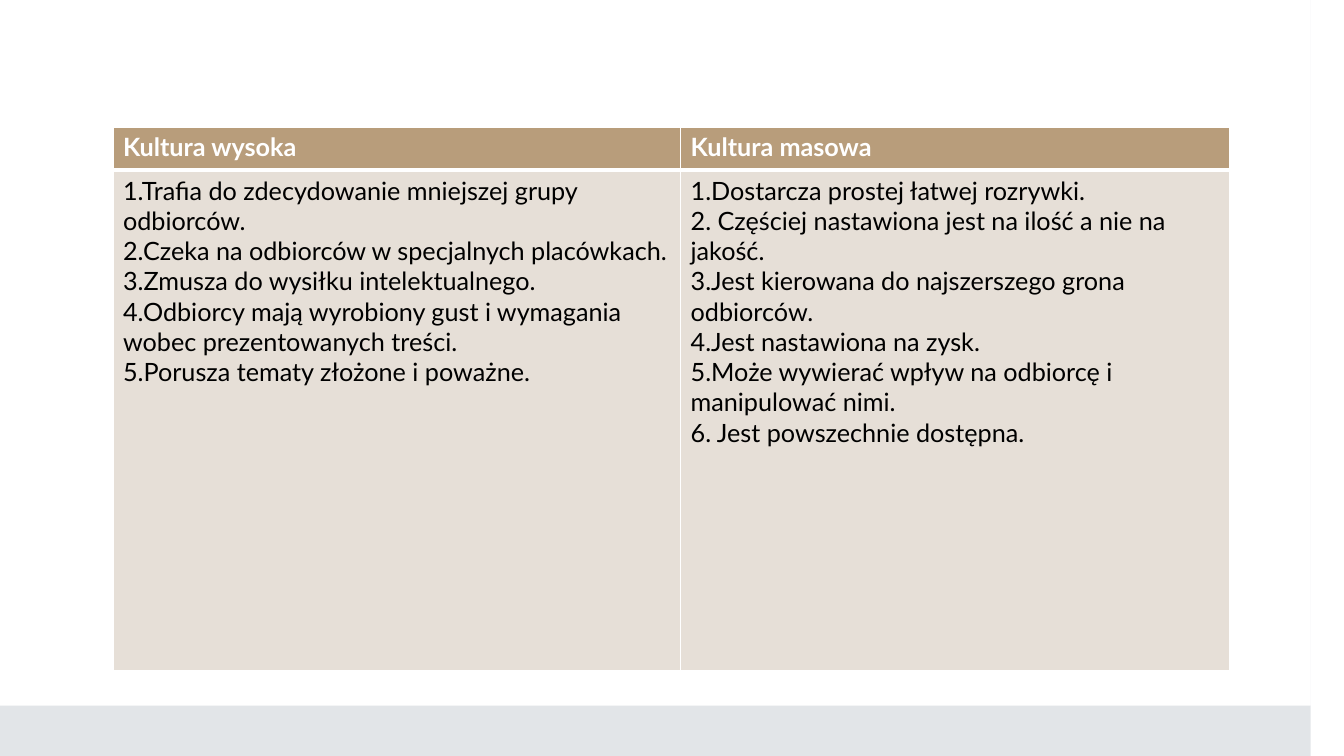
from lxml import etree
from pptx import Presentation
from pptx.dml.color import RGBColor
from pptx.oxml.ns import qn
from pptx.util import Inches, Pt

HEADERS = ["Kultura wysoka", "Kultura masowa"]
POINTS = [
    [
        "1.Trafia do zdecydowanie mniejszej grupy odbiorców.",
        "2.Czeka na odbiorców w specjalnych placówkach.",
        "3.Zmusza do wysiłku intelektualnego.",
        "4.Odbiorcy mają wyrobiony gust i wymagania wobec prezentowanych treści.",
        "5.Porusza tematy złożone i poważne.",
    ],
    [
        "1.Dostarcza prostej łatwej rozrywki.",
        "2. Częściej nastawiona jest na ilość a nie na jakość.",
        "3.Jest kierowana do najszerszego grona odbiorców.",
        "4.Jest nastawiona na zysk.",
        "5.Może wywierać wpływ na odbiorcę i manipulować nimi.",
        "6. Jest powszechnie dostępna.",
    ],
]

WHITE = RGBColor(0xFF, 0xFF, 0xFF)
BLACK = RGBColor(0, 0, 0)
FRAME_GREY = RGBColor(0xE2, 0xE5, 0xE8)
HEADER_TAN = RGBColor(0xB8, 0x9D, 0x7B)
BODY_BEIGE = RGBColor(0xE6, 0xDF, 0xD7)

SLIDE_W, SLIDE_H = 13.33, 7.5
FRAME_X, FRAME_Y = 0.18, 0.17
TABLE_X, TABLE_Y = 1.12, 1.26
COL_WIDTHS = [5.63, 5.45]
ROW_HEIGHTS = [0.43, 4.96]
FONT = "Lato"


def add_frame(slide):
    """Draw the grey border as an outer outline with an inner opening."""
    right, bottom = SLIDE_W - FRAME_X, SLIDE_H - FRAME_Y
    fb = slide.shapes.build_freeform(0, 0, scale=Inches(1))
    fb.add_line_segments([(SLIDE_W, 0), (SLIDE_W, SLIDE_H), (0, SLIDE_H)])
    fb.move_to(FRAME_X, FRAME_Y)
    fb.add_line_segments([(FRAME_X, bottom), (right, bottom), (right, FRAME_Y)])
    frame = fb.convert_to_shape()
    frame.fill.solid()
    frame.fill.fore_color.rgb = FRAME_GREY
    frame.line.fill.background()
    frame.shadow.inherit = False


def set_borders(cell, top, bottom):
    """Give the cell white borders; top and bottom widths are in points."""
    tc_pr = cell._tc.get_or_add_tcPr()
    for side, width in (("L", 1), ("R", 1), ("T", top), ("B", bottom)):
        ln = etree.SubElement(tc_pr, qn(f"a:ln{side}"), w=str(Pt(width)))
        fill = etree.SubElement(ln, qn("a:solidFill"))
        etree.SubElement(fill, qn("a:srgbClr"), val=str(WHITE))


def fill_cell(cell, lines, is_header):
    set_borders(cell, 1 if is_header else 3, 3 if is_header else 1)
    cell.fill.solid()
    cell.fill.fore_color.rgb = HEADER_TAN if is_header else BODY_BEIGE
    cell.text = "\n".join(lines)
    for p in cell.text_frame.paragraphs:
        p.font.name = FONT
        p.font.size = Pt(18)
        p.font.bold = is_header
        p.font.color.rgb = WHITE if is_header else BLACK


def main():
    prs = Presentation()
    prs.slide_width, prs.slide_height = Inches(SLIDE_W), Inches(SLIDE_H)
    slide = prs.slides.add_slide(prs.slide_layouts[6])
    slide.background.fill.solid()
    slide.background.fill.fore_color.rgb = WHITE
    add_frame(slide)

    table = slide.shapes.add_table(
        len(ROW_HEIGHTS), len(COL_WIDTHS), Inches(TABLE_X), Inches(TABLE_Y),
        Inches(sum(COL_WIDTHS)), Inches(sum(ROW_HEIGHTS))).table
    for row, height in zip(table.rows, ROW_HEIGHTS):
        row.height = Inches(height)
    for c, (width, header, points) in enumerate(zip(COL_WIDTHS, HEADERS, POINTS)):
        table.columns[c].width = Inches(width)
        fill_cell(table.cell(0, c), [header], True)
        fill_cell(table.cell(1, c), points, False)

    prs.save("out.pptx")


if __name__ == "__main__":
    main()
